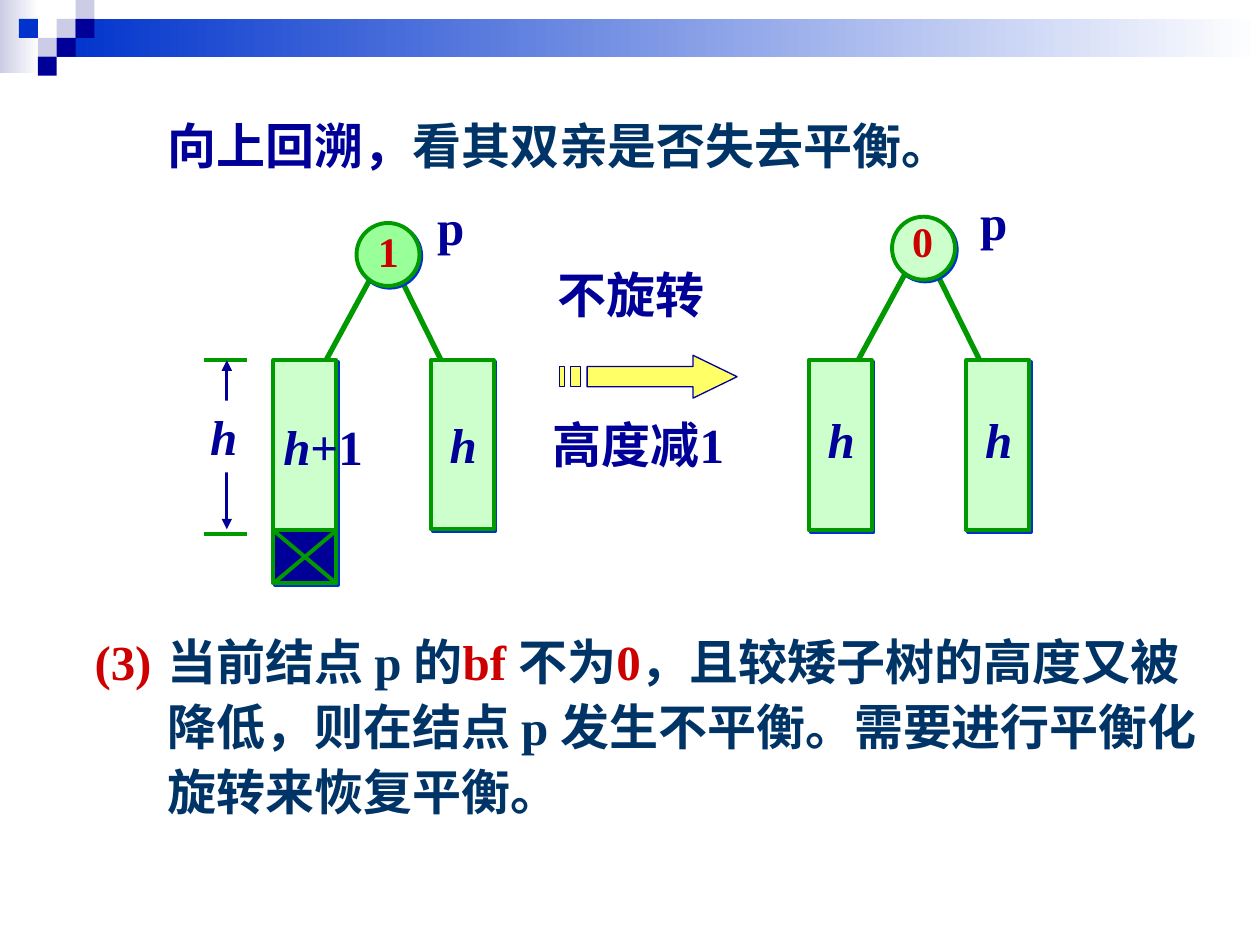
from dataclasses import dataclass

import pptx
import pptx.dml.color
import pptx.enum.shapes
import pptx.enum.text
import pptx.oxml.ns
import pptx.util
from lxml import etree
from pptx.util import Inches

FONT = "Times New Roman"
COLORS = {
    "lavender": "CCCCE6", "blue": "0033CC", "navy": "000099", "teal": "003366",
    "red": "CC0000", "green": "009900", "mint": "CCFFCC", "lime": "99FF99",
    "yellow": "FFFF66", "white": "FFFFFF",
}
RECTANGLE = pptx.enum.shapes.MSO_SHAPE.RECTANGLE
OVAL = pptx.enum.shapes.MSO_SHAPE.OVAL
SUBTREE_TOP = 2.86
NODE_SIZE = 0.5


@dataclass
class Run:
    text: str
    color: str = "navy"
    italic: bool = False


@dataclass
class Box:
    left: float
    top: float
    width: float
    height: float
    fill: str


@dataclass
class Label:
    left: float
    top: float
    width: float
    runs: list[Run]
    size: int = 28
    wrap: bool = True
    fill: str = ""


@dataclass
class Tree:
    """A node with two subtrees; left and top place the node circle."""
    left: float
    top: float
    fill: str
    left_height: float = 1.35
    right_height: float = 1.35


def rgb(name: str) -> pptx.dml.color.RGBColor:
    return pptx.dml.color.RGBColor.from_string(COLORS[name])


def add_child(parent, tag: str, **attributes: str):
    child = etree.SubElement(parent, pptx.oxml.ns.qn(tag))
    for name, value in attributes.items():
        child.set(name, value)
    return child


def add_box(slide, box: Box, kind=RECTANGLE, fade: bool = False):
    """Add a borderless shape, filled plainly or fading to white."""
    shape = slide.shapes.add_shape(kind, Inches(box.left), Inches(box.top),
                                   Inches(box.width), Inches(box.height))
    shape.shadow.inherit = False
    shape.line.fill.background()
    if fade:
        shape.fill.gradient()
        shape.fill.gradient_angle = 0
        for stop, color, position in zip(shape.fill.gradient_stops, (box.fill, "white"), (0, 1)):
            stop.color.rgb = rgb(color)
            stop.position = position
    else:
        shape.fill.solid()
        shape.fill.fore_color.rgb = rgb(box.fill)
    return shape


def add_outlined_box(slide, box: Box, kind=RECTANGLE) -> None:
    """Add a green-edged shape with a small blue drop shadow."""
    shape = add_box(slide, box, kind)
    shape.line.color.rgb = rgb("green")
    shape.line.width = pptx.util.Pt(2.25)
    effects = shape.element.spPr.find(pptx.oxml.ns.qn("a:effectLst"))
    shadow = add_child(effects, "a:outerShdw", dist=str(pptx.util.Pt(1.4)),
                       dir="2700000", algn="ctr", rotWithShape="0")
    add_child(shadow, "a:srgbClr", val=COLORS["blue"])


def add_line(slide, start: tuple[float, float], end: tuple[float, float],
             width: float = 2.25, color: str = "green", arrows: bool = False) -> None:
    line = slide.shapes.add_connector(pptx.enum.shapes.MSO_CONNECTOR.STRAIGHT,
                                      *map(Inches, start + end))
    line.line.color.rgb = rgb(color)
    line.line.width = pptx.util.Pt(width)
    if arrows:
        outline = line.line._get_or_add_ln()
        for tag in ("a:headEnd", "a:tailEnd"):
            add_child(outline, tag, type="triangle")
    add_child(line.element.spPr, "a:effectLst")


def write_runs(paragraph, runs: list[Run], size: int = 28) -> None:
    for item in runs:
        run = paragraph.add_run()
        run.text = item.text
        run.font.name = FONT
        run.font.size = pptx.util.Pt(size)
        run.font.bold = True
        run.font.italic = item.italic
        run.font.color.rgb = rgb(item.color)


def add_label(slide, label: Label) -> None:
    height = 0.57 if label.size == 28 else 0.5
    shape = slide.shapes.add_textbox(Inches(label.left), Inches(label.top),
                                     Inches(label.width), Inches(height))
    if label.fill:
        shape.fill.solid()
        shape.fill.fore_color.rgb = rgb(label.fill)
    shape.text_frame.word_wrap = label.wrap
    shape.text_frame.auto_size = pptx.enum.text.MSO_AUTO_SIZE.SHAPE_TO_FIT_TEXT
    write_runs(shape.text_frame.paragraphs[0], label.runs, label.size)


def add_tree(slide, tree: Tree) -> None:
    x, y = tree.left, tree.top
    add_line(slide, (x + 0.34, y + 0.42), (x + 0.75, y + 1.25), 3)
    add_line(slide, (x + 0.17, y + 0.33), (x - 0.33, y + 1.25), 3)
    add_outlined_box(slide, Box(x, y, NODE_SIZE, NODE_SIZE, tree.fill), OVAL)
    for offset, height in ((-0.66, tree.left_height), (0.59, tree.right_height)):
        add_outlined_box(slide, Box(x + offset, SUBTREE_TOP, NODE_SIZE, height, "mint"))


def add_removed_block(slide, box: Box) -> None:
    """Add the crossed-out block under the left subtree."""
    add_outlined_box(slide, box)
    right, bottom = box.left + box.width, box.top + box.height
    add_line(slide, (right, box.top), (box.left, bottom))
    add_line(slide, (box.left, box.top), (right, bottom))


def add_striped_arrow(slide) -> None:
    head, tip, top, bottom = 5.5, 5.85, 2.91, 3.07
    contours = [[(head, 2.82), (head, top), (4.66, top), (4.66, bottom),
                 (head, bottom), (head, 3.16), (tip, 2.99)]]
    contours += [[(left, top), (left, bottom), (right, bottom), (right, top)]
                 for left, right in ((4.53, 4.61), (4.44, 4.48))]
    contours = [[(Inches(x), Inches(y)) for x, y in contour] for contour in contours]
    builder = slide.shapes.build_freeform(*contours[0][0])
    for index, contour in enumerate(contours):
        if index:
            builder.move_to(*contour[0])
        builder.add_line_segments(contour[1:], close=True)
    arrow = builder.convert_to_shape()
    arrow.shadow.inherit = False
    arrow.fill.solid()
    arrow.fill.fore_color.rgb = rgb("yellow")
    arrow.line.color.rgb = rgb("navy")
    arrow.line.width = pptx.util.Pt(0.75)


def add_header(slide) -> None:
    add_box(slide, Box(0, 0, 0.31, 0.58, "lavender"), fade=True)
    add_box(slide, Box(0.45, 0.15, 9.55, 0.3, "blue"), fade=True)
    for column, row, color in ((3, 1, "lavender"), (4, 0, "lavender"), (4, 1, "navy"),
                               (2, 2, "lavender"), (1, 1, "blue"), (3, 2, "navy"),
                               (2, 3, "navy")):
        add_box(slide, Box(0.15 * column, 0.15 * row, 0.15, 0.15, color))


def fill_body(body) -> None:
    body.left, body.top, body.width, body.height = map(Inches, (0.65, 0.82, 9, 6.24))
    frame = body.text_frame
    frame.auto_size = pptx.enum.text.MSO_AUTO_SIZE.NONE
    frame.vertical_anchor = pptx.enum.text.MSO_ANCHOR.TOP
    first = [Run("向上回溯，"), Run("看其双亲是否失去平衡。", "teal")]
    third = [Run("(3) \t", "red"), Run("当前结点 p 的", "teal"), Run("bf ", "red"),
             Run("不为", "teal"), Run("0", "red"),
             Run("，且较矮子树的高度又被降低，则在结点 p 发生不平衡。需要进行平衡化旋转来恢复平衡。", "teal")]
    paragraphs = (frame.paragraphs[0], frame.add_paragraph())
    for paragraph, runs, indent, space in zip(paragraphs, (first, third), (0, -0.58), (0, 258)):
        properties = paragraph._p.get_or_add_pPr()
        properties.set("marL", str(Inches(0.58)))
        properties.set("indent", str(Inches(indent)))
        add_child(properties, "a:buNone")
        paragraph.line_spacing = 1.1
        paragraph.space_before = pptx.util.Pt(space)
        write_runs(paragraph, runs)


def main() -> None:
    presentation = pptx.Presentation()
    presentation.slide_width, presentation.slide_height = Inches(10), Inches(7.5)
    slide = presentation.slides.add_slide(presentation.slide_layouts[1])
    title = slide.shapes.title.element
    title.getparent().remove(title)
    add_header(slide)
    fill_body(slide.placeholders[1])

    add_tree(slide, Tree(2.83, 1.77, "lime", right_height=1.34))
    add_removed_block(slide, Box(2.17, 4.21, NODE_SIZE, 0.42, "navy"))
    add_tree(slide, Tree(7.08, 1.72, "mint"))
    add_striped_arrow(slide)
    for y in (SUBTREE_TOP, 4.24):
        add_line(slide, (1.62, y), (1.96, y))
    add_line(slide, (1.8, SUBTREE_TOP), (1.8, 4.2), 1.5, "navy", arrows=True)

    height = Run("h", italic=True)
    for label in (
        Label(2.9, 1.74, 0.52, [Run("1", "red")], size=24),
        Label(7.14, 1.66, 0.58, [Run("0", "red")], size=24),
        Label(3.37, 1.51, 0.52, [Run("p")]),
        Label(7.68, 1.47, 0.41, [Run("p")], wrap=False),
        Label(2.15, 3.26, 1, [height, Run("+1")]),
        Label(3.47, 3.24, 0.42, [height]),
        Label(6.47, 3.2, 0.83, [height]),
        Label(7.72, 3.2, 0.42, [height]),
        Label(1.57, 3.18, 0.5, [height], fill="white"),
        Label(4.33, 2.05, 1.5, [Run("不旋转")]),
        Label(4.29, 3.24, 1.65, [Run("高度减1")], wrap=False),
    ):
        add_label(slide, label)
    presentation.save("out.pptx")


if __name__ == "__main__":
    main()
